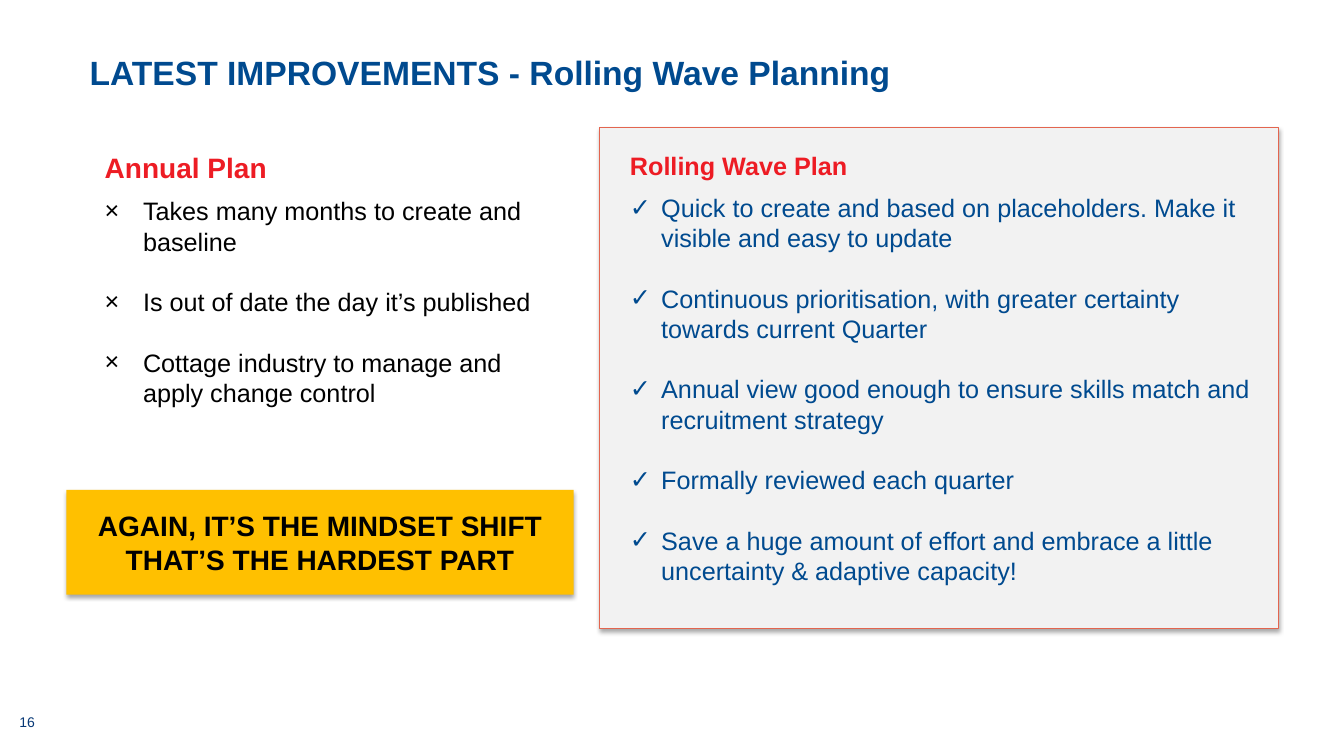
"""Build a slide that sets annual planning against rolling wave planning."""
from lxml import etree
from pptx import Presentation
from pptx import util as u
from pptx.dml.color import RGBColor
from pptx.enum import shapes, text
from pptx.oxml import parse_xml
from pptx.oxml.ns import nsdecls, qn


def style(paragraph, size, color, bold=False):
    for run in paragraph.runs:
        run.font.name = "Arial"
        run.font.size = u.Pt(size)
        run.font.bold = bold
        run.font.color.rgb = RGBColor.from_string(color)


def panel(left, top, width, height, fill):
    block = slide.shapes.add_shape(
        shapes.MSO_SHAPE.RECTANGLE,
        *(u.Inches(v) for v in (left, top, width, height)))
    block.fill.solid()
    block.fill.fore_color.rgb = RGBColor.from_string(fill)
    block.line.fill.background()
    block._element.spPr.append(parse_xml(
        f'<a:effectLst {nsdecls("a")}><a:outerShdw blurRad="{u.Pt(3.1)}" '
        f'dist="{u.Pt(1.8)}" dir="5400000" rotWithShape="0"><a:srgbClr val="000000">'
        '<a:alpha val="35000"/></a:srgbClr></a:outerShdw></a:effectLst>'))
    return block


BLUE, RED, BLACK = "004A8F", "ED1C24", "000000"

deck = Presentation()
deck.slide_width, deck.slide_height = u.Inches(13.33), u.Inches(7.5)
slide = deck.slides.add_slide(deck.slide_layouts[6])

backdrop = panel(5.95, 1.27, 6.73, 4.97, "F2F2F2")
backdrop.line.color.rgb = RGBColor.from_string("E3654F")
backdrop.line.width = u.Pt(0.75)

for words, place, size, color, bold, align in [
    ("LATEST IMPROVEMENTS - Rolling Wave Planning", (0.89, 0.59, 7.96, 0.5),
     24, BLUE, True, text.PP_ALIGN.LEFT),
    ("16", (0, 7.11, 0.54, 0.39), 10, "073876", False, text.PP_ALIGN.CENTER),
]:
    label = slide.shapes.add_textbox(*(u.Inches(v) for v in place)).text_frame
    label.margin_left = label.margin_right = label.margin_top = label.margin_bottom = 0
    label.word_wrap = True
    label.text = words
    label.paragraphs[0].alignment = align
    label.paragraphs[0].line_spacing = 0.8
    style(label.paragraphs[0], size, color, bold)

plans = [
    ("Annual Plan", 20, (0.94, 1.44, 4.75, 2.98), "×", 0.38, BLACK, [
        "Takes many months to create and baseline",
        "Is out of date the day it’s published",
        "Cottage industry to manage and apply change control"]),
    ("Rolling Wave Plan", 18, (6.15, 1.44, 6.53, 4.91), "✓", 0.31, BLUE, [
        "Quick to create and based on placeholders. Make it visible and easy to update",
        "Continuous prioritisation, with greater certainty towards current Quarter",
        "Annual view good enough to ensure skills match and recruitment strategy",
        "Formally reviewed each quarter",
        "Save a huge amount of effort and embrace a little uncertainty & adaptive capacity!"]),
]
for heading, heading_size, place, mark, indent, color, points in plans:
    plan = slide.shapes.add_textbox(*(u.Inches(v) for v in place)).text_frame
    plan.word_wrap = True
    plan.text = heading
    style(plan.paragraphs[0], heading_size, RED, True)
    for number, point in enumerate(points):
        item = plan.add_paragraph()
        item.text = point
        item.space_before = u.Pt(21.6 if number else 8.5)
        props = item._p.get_or_add_pPr()
        props.set("marL", str(u.Inches(indent)))
        props.set("indent", str(-u.Inches(indent)))
        etree.SubElement(props, qn("a:buFont")).set("typeface", "Arial")
        etree.SubElement(props, qn("a:buChar")).set("char", mark)
        style(item, 18, color)

message = panel(0.66, 4.86, 5.03, 1.04, "FFC000").text_frame
message.word_wrap = True
message.vertical_anchor = text.MSO_ANCHOR.MIDDLE
message.text = "AGAIN, IT’S THE MINDSET SHIFT THAT’S THE HARDEST PART"
message.paragraphs[0].alignment = text.PP_ALIGN.CENTER
style(message.paragraphs[0], 20, BLACK, True)

deck.save("out.pptx")
